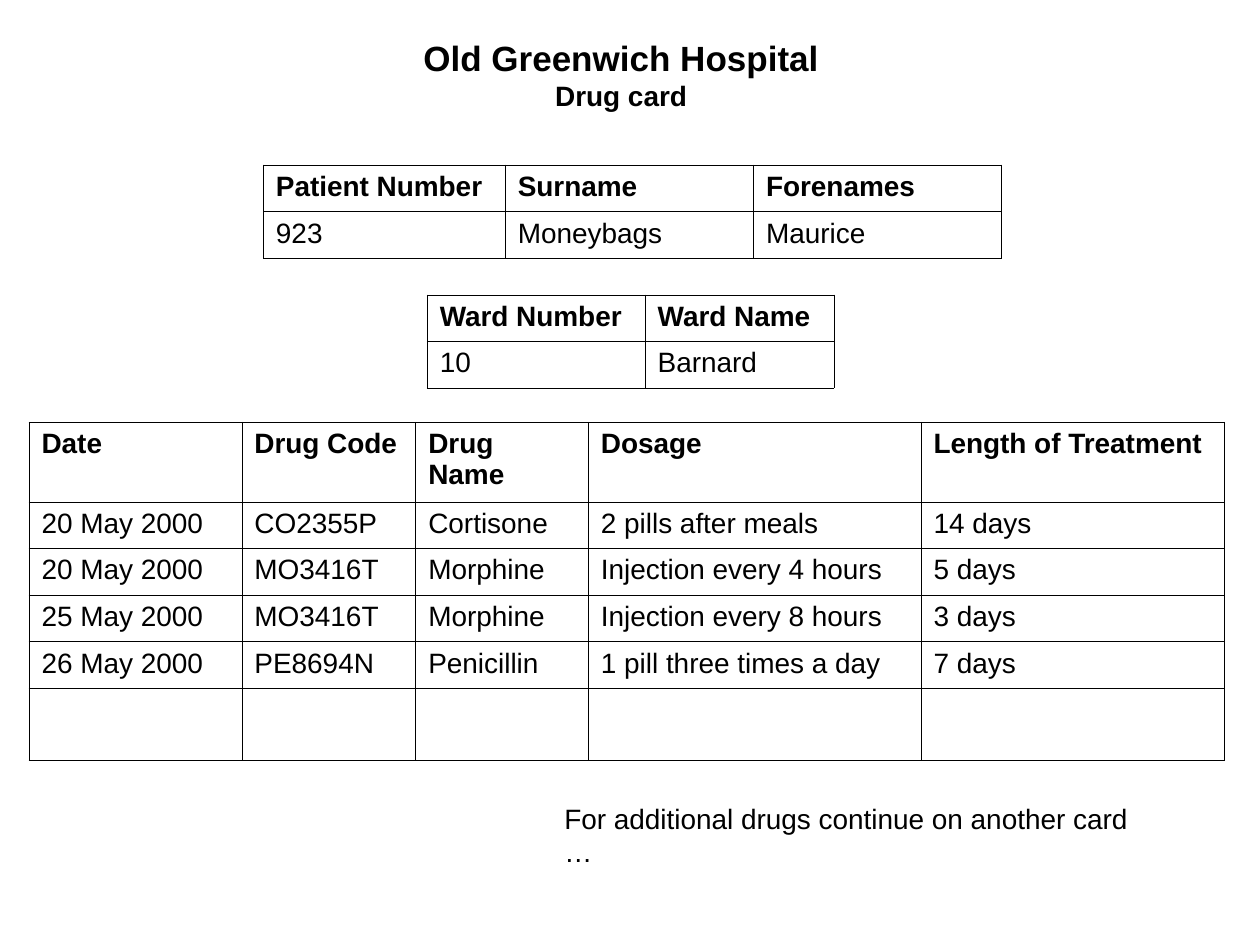
from lxml import etree
from pptx import Presentation
from pptx.dml.color import RGBColor
from pptx.enum.text import MSO_ANCHOR, PP_ALIGN
from pptx.oxml.ns import qn
from pptx.util import Inches, Pt

TOP = MSO_ANCHOR.TOP
LEFT, MID = PP_ALIGN.LEFT, PP_ALIGN.CENTER

# Grid of 100 columns by 75 rows over the slide
COLS, ROWS = 100, 75
WIDE, HIGH = Inches(10), Inches(7.5)
INK = "000000"
LINE = Pt(0.45)
ROW = 3.7

PATIENT = [["Patient Number", "Surname", "Forenames"],
           ["923", "Moneybags", "Maurice"]]
WARD = [["Ward Number", "Ward Name"],
        ["10", "Barnard"]]
DRUGS = [["Date", "Drug Code", "Drug Name", "Dosage", "Length of Treatment"],
         ["20 May 2000", "CO2355P", "Cortisone", "2 pills after meals", "14 days"],
         ["20 May 2000", "MO3416T", "Morphine", "Injection every 4 hours", "5 days"],
         ["25 May 2000", "MO3416T", "Morphine", "Injection every 8 hours", "3 days"],
         ["26 May 2000", "PE8694N", "Penicillin", "1 pill three times a day", "7 days"],
         [""] * 5]


def across(n):
    return round(WIDE * n / COLS)


def down(n):
    return round(HIGH * n / ROWS)


def color(code):
    return RGBColor.from_string(code)


def style(font, size=16, bold=False):
    form = {"name": "Arial", "size": Pt(size), "bold": bold}
    for key, value in form.items():
        setattr(font, key, value)
    font.color.rgb = color(INK)


def write(para, words, align=LEFT, **form):
    para.alignment = align
    if words:
        run = para.add_run()
        run.text = words
        style(run.font, **form)


def add_text(slide, box, lines, align):
    """Place lines of (words, size, bold) in a box."""
    x, y, w, h = box
    frame = slide.shapes.add_textbox(across(x), down(y), across(w), down(h)).text_frame
    form = {"word_wrap": False, "vertical_anchor": TOP, "margin_top": down(0.7)}
    for key, value in form.items():
        setattr(frame, key, value)
    for i, (words, size, bold) in enumerate(lines):
        para = frame.add_paragraph() if i else frame.paragraphs[0]
        write(para, words, align, size=size, bold=bold)


def add_rules(cell):
    """Draw a thin rule on all four sides of a cell."""
    props = cell._tc.get_or_add_tcPr()
    for side in ("a:lnL", "a:lnR", "a:lnT", "a:lnB"):
        rule = etree.SubElement(props, qn(side), w=str(int(LINE)))
        fill = etree.SubElement(rule, qn("a:solidFill"))
        etree.SubElement(fill, qn("a:srgbClr"), val=INK)


def add_grid(slide, x, y, cols, rows, data):
    """Place a ruled table with a bold first row."""
    table = slide.shapes.add_table(len(rows), len(cols), across(x), down(y),
                                   across(sum(cols)), down(sum(rows))).table
    table.first_row = table.horz_banding = False
    for col, w in zip(table.columns, cols):
        col.width = across(w)
    for r, (row, h) in enumerate(zip(table.rows, rows)):
        row.height = down(h)
        for cell, words in zip(row.cells, data[r]):
            add_rules(cell)
            cell.fill.background()
            write(cell.text_frame.paragraphs[0], words, bold=r == 0)


def main():
    deck = Presentation()
    deck.slide_width, deck.slide_height = WIDE, HIGH
    slide = deck.slides.add_slide(deck.slide_layouts[6])

    # Heading
    add_text(slide, (32.6, 2.2, 33.4, 12.4),
             [("Old Greenwich Hospital", 20, True), ("Drug card", 16, True)], MID)

    # Patient, ward and drug tables
    add_grid(slide, 20.9, 13.1, [19.2, 19.7, 19.7], [ROW] * 2, PATIENT)
    add_grid(slide, 33.9, 23.4, [17.3, 15], [ROW] * 2, WARD)
    add_grid(slide, 2.3, 33.5, [16.9, 13.8, 13.7, 26.4, 24.1],
             [6.3] + [ROW] * 4 + [5.7], DRUGS)

    # Closing note
    add_text(slide, (43.8, 62.9, 49.5, 5.8),
             [("For additional drugs continue on another card …", 16, False)], LEFT)

    deck.save("out.pptx")


if __name__ == "__main__":
    main()
